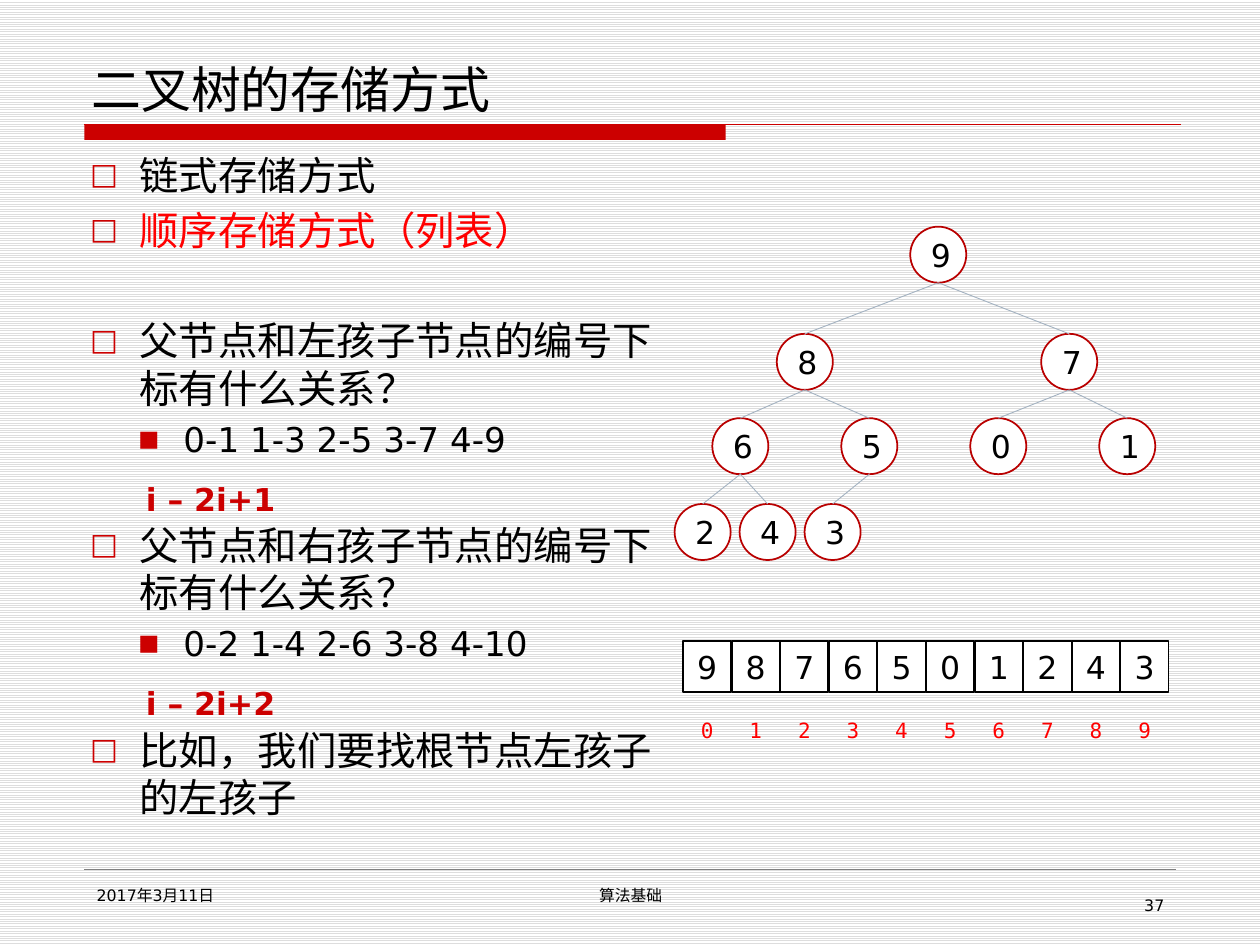
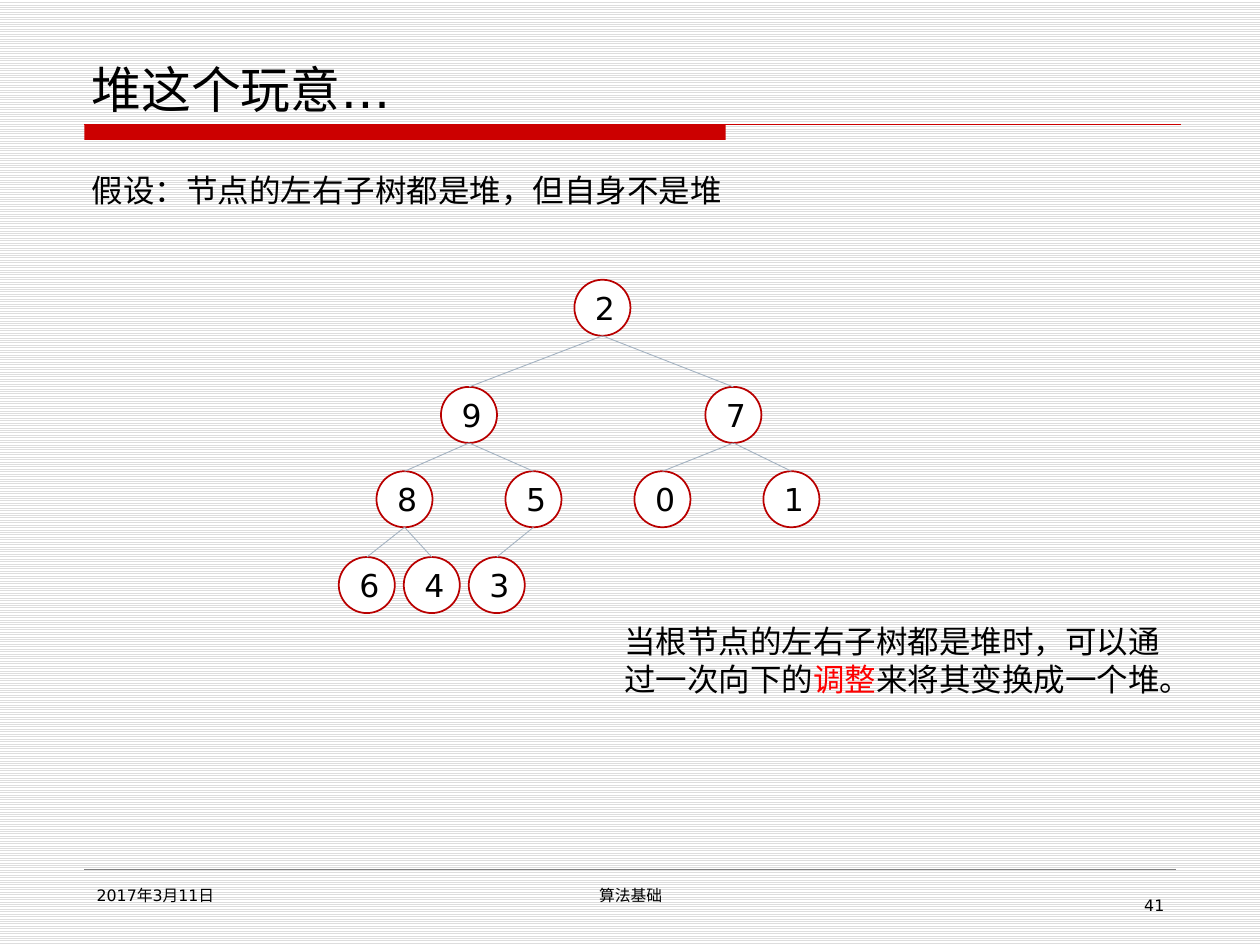
from pptx import Presentation
from pptx import util as u
from pptx.dml.color import RGBColor
from pptx.enum import dml, shapes, text
from pptx.oxml.ns import qn
from lxml import etree

HUE = {
    "ink": "000000",
    "paper": "FFFFFF",
    "stripe": "DDDDDD",
    "brand": "CC0000",
    "hot": "FF0000",
    "ring": "B90000",
    "edge": "A3B2C1",
    "foot": "808080",
}
RGB = {name: RGBColor.from_string(code) for name, code in HUE.items()}
SANS = "DejaVu Sans"
MONO = "DejaVu Sans Mono"
LEFT, MID, RIGHT = text.PP_ALIGN.LEFT, text.PP_ALIGN.CENTER, text.PP_ALIGN.RIGHT
TOP, HALF, LOW = text.MSO_ANCHOR.TOP, text.MSO_ANCHOR.MIDDLE, text.MSO_ANCHOR.BOTTOM
OVAL, RECT = shapes.MSO_SHAPE.OVAL, shapes.MSO_SHAPE.RECTANGLE


def say(para, words, size, hue="ink", face=SANS, bold=False):
    run = para.add_run()
    run.text = words
    run.font.size = u.Pt(size)
    run.font.bold = bold
    run.font.color.rgb = RGB[hue]
    run.font.name = face
    etree.SubElement(run.font._element, qn("a:ea"), typeface=SANS)


def box(slide, at, runs, size, align=LEFT, anchor=TOP, kind=None, rim="ink", **style):
    at = [u.Cm(n) for n in at]
    if kind is None:
        item = slide.shapes.add_textbox(*at)
    else:
        item = slide.shapes.add_shape(kind, *at)
        item.shadow.inherit = False
        item.fill.solid()
        item.fill.fore_color.rgb = RGB["paper"]
        item.line.color.rgb = RGB[rim]
        item.line.width = u.Pt(1)
    frame = item.text_frame
    frame.word_wrap = True
    frame.vertical_anchor = anchor
    para = frame.paragraphs[0]
    para.alignment = align
    for words, hue in runs:
        say(para, words, size, hue, **style)
    return item


deck = Presentation()
deck.slide_width, deck.slide_height = u.Cm(25.4), u.Cm(19.05)
back = deck.slide_master.background.fill
back.patterned()
back.pattern = dml.MSO_PATTERN.LIGHT_HORIZONTAL
back.fore_color.rgb = RGB["stripe"]
back.back_color.rgb = RGB["paper"]

SIZE = 1.13
SPOTS = [(0, 0), (-2.69, 2.16), (2.64, 2.16)]
SPOTS += [(-3.99 + 2.6 * n, 3.86) for n in range(4)]
SPOTS += [(-4.75 + 1.31 * n, 5.59) for n in range(3)]

PAGES = [
    ("二叉树的存储方式", "37", "9876501243", 18.35, 4.57),
    ("堆这个玩意…", "41", "2978501643", 11.58, 5.64),
]
slides = []
for title, page, heap, left, top in PAGES:
    slide = deck.slides.add_slide(deck.slide_layouts[6])
    slides.append(slide)

    bar = slide.shapes.add_shape(RECT, u.Cm(1.7), u.Cm(2.51), u.Cm(12.93), u.Cm(0.31))
    bar.shadow.inherit = False
    bar.fill.solid()
    bar.fill.fore_color.rgb = RGB["brand"]
    bar.line.fill.background()

    box(slide, (1.6, 0.84, 22.23, 1.68), [(title, "ink")], 28.5, anchor=LOW)
    box(slide, (1.7, 17.73, 5.51, 0.94), [("2017年3月11日", "ink")], 9)
    box(slide, (8.69, 17.73, 8.05, 0.94), [("算法基础", "ink")], 9, MID)
    box(slide, (18.21, 17.93, 5.51, 0.74), [(page, "ink")], 9, RIGHT)

    nodes = [(left + x, top + y) for x, y in SPOTS]
    for (x, y), key in zip(nodes, heap):
        box(slide, (x, y, SIZE, SIZE), [(key, "ink")], 18, MID, HALF, OVAL, "ring")

    lines = [
        (1.7, 2.51, 23.8, 2.51, "brand", 0.75),
        (1.7, 17.53, 23.7, 17.53, "foot", 0.25),
    ]
    for n in range(1, len(nodes)):
        (px, py), (cx, cy) = nodes[(n - 1) // 2], nodes[n]
        lines.append((px + SIZE / 2, py + SIZE, cx + SIZE / 2, cy, "edge", 0.5))
    for *ends, hue, width in lines:
        line = slide.shapes.add_connector(
            shapes.MSO_CONNECTOR.STRAIGHT, *[u.Cm(n) for n in ends])
        line.line.color.rgb = RGB[hue]
        line.line.width = u.Pt(width)
        etree.SubElement(line._element.spPr, qn("a:effectLst"))

store, sift = slides

POINTS = [
    (0, "链式存储方式", "ink", 0),
    (0, "顺序存储方式（列表）", "hot", 4.5),
    (0, "父节点和左孩子节点的编号下标有什么关系？", "ink", 36),
    (1, "0-1 1-3 2-5 3-7 4-9", "ink", 4),
    (0, "父节点和右孩子节点的编号下标有什么关系？", "ink", 35.5),
    (1, "0-2 1-4 2-6 3-8 4-10", "ink", 4),
    (0, "比如，我们要找根节点左孩子的左孩子", "ink", 35.5),
]
LEVELS = [(22.5, 0.99, 0.99, "□", 75), (19.5, 1.88, 0.91, "■", 65)]
body = box(store, (1.57, 2.92, 12.09, 13.79), [], 22.5).text_frame
for n, (level, words, hue, gap) in enumerate(POINTS):
    size, margin, hang, mark, scale = LEVELS[level]
    para = body.add_paragraph() if n else body.paragraphs[0]
    para.level = level
    para.space_before = u.Pt(gap)
    props = para._p.get_or_add_pPr()
    props.set("marL", str(u.Cm(margin)))
    props.set("indent", str(-u.Cm(hang)))
    tint = etree.SubElement(props, qn("a:buClr"))
    etree.SubElement(tint, qn("a:srgbClr"), val=HUE["brand"])
    etree.SubElement(props, qn("a:buSzPct"), val=str(scale * 1000))
    etree.SubElement(props, qn("a:buFont"), typeface=SANS)
    etree.SubElement(props, qn("a:buChar"), char=mark)
    say(para, words, size, hue)

for words, y in [("i – 2i+1", 9.55), ("i – 2i+2", 13.67)]:
    box(store, (2.69, y, 3.35, 1.02), [(words, "brand")], 18, bold=True)

for n, key in enumerate(PAGES[0][2]):
    x = 13.77 + 0.98 * n
    box(store, (x, 12.93, 0.97, 1.02), [(key, "ink")], 18, MID, HALF, RECT)
    box(store, (x, 14.2, 0.97, 1.02), [(str(n), "hot")], 12, MID, HALF, face=MONO)

box(sift, (1.6, 3.33, 13.74, 1.02), [("假设：节点的左右子树都是堆，但自身不是堆", "ink")], 18)
box(sift, (12.34, 12.42, 11.35, 1.8), [
    ("当根节点的左右子树都是堆时，可以通过一次向下的", "ink"),
    ("调整", "hot"),
    ("来将其变换成一个堆。", "ink"),
], 18, face="Noto Sans CJK SC")

deck.save("out.pptx")
